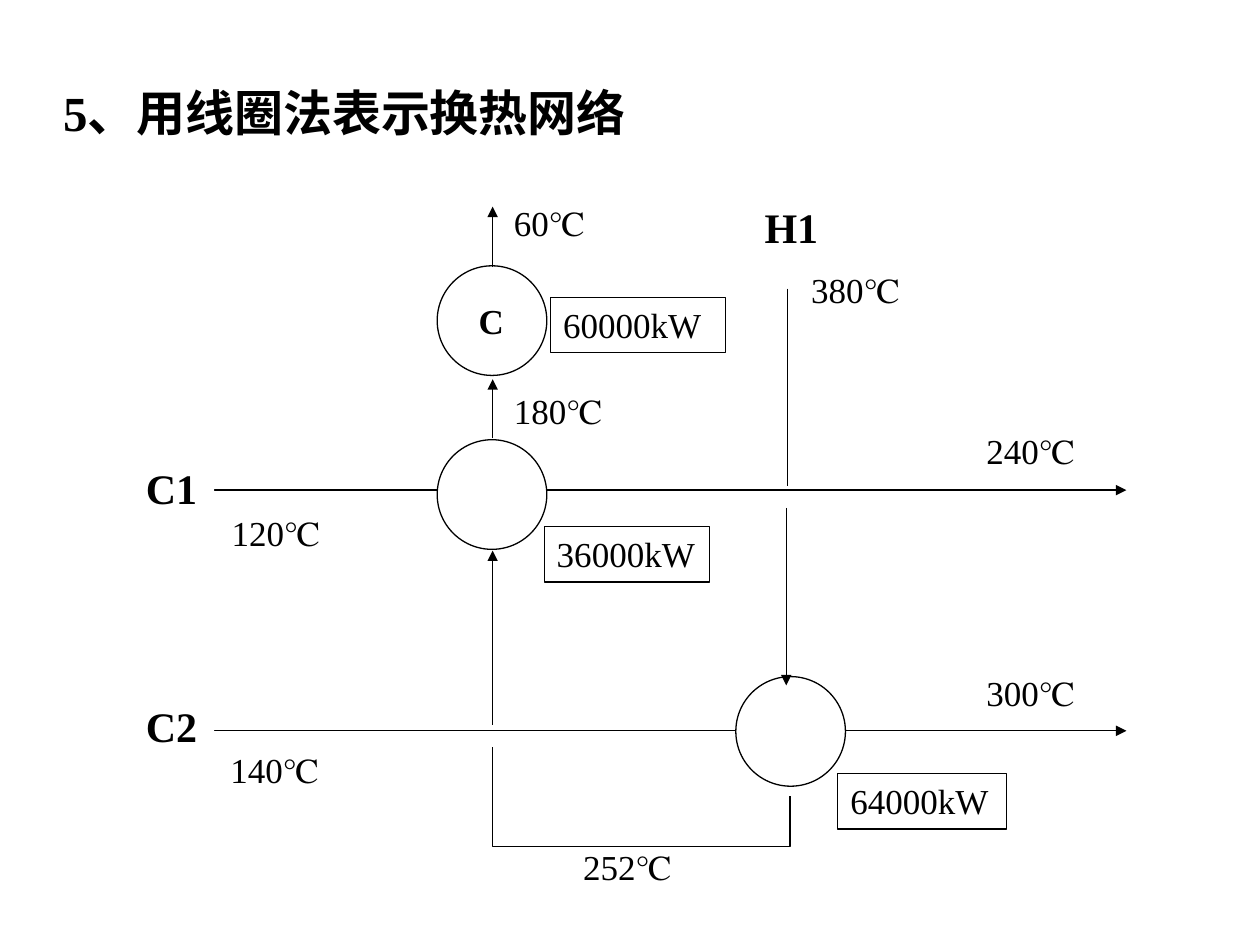
from dataclasses import dataclass

from lxml import etree
from pptx import Presentation
from pptx.dml.color import RGBColor
from pptx.enum.shapes import MSO_CONNECTOR, MSO_SHAPE
from pptx.enum.text import MSO_ANCHOR, MSO_AUTO_SIZE, PP_ALIGN
from pptx.oxml.ns import qn
from pptx.util import Inches, Pt

RECT, OVAL = MSO_SHAPE.RECTANGLE, MSO_SHAPE.OVAL
STRAIGHT = MSO_CONNECTOR.STRAIGHT
LEFT, JUSTIFY = PP_ALIGN.LEFT, PP_ALIGN.JUSTIFY
TOP, MIDDLE = MSO_ANCHOR.TOP, MSO_ANCHOR.MIDDLE
FIT_SHAPE = MSO_AUTO_SIZE.SHAPE_TO_FIT_TEXT

COLORS = {"ink": "000000", "paper": "FFFFFF"}
FONT = "Times New Roman"
LINE_WIDTH = Pt(0.75)
CIRCLE = 8.7
TEMP_SIZE = (9.6, 5.9)
NAME_SIZE = (6.4, 4.4)
DUTY_HEIGHT = 4.4

TEMPERATURES = [
    ("60℃", 29.8, 0), ("180℃", 29.8, 14.9), ("252℃", 35.3, 51.1),
    ("300℃", 67.3, 37.3), ("240℃", 67.3, 18.1), ("380℃", 53.4, 5.3),
    ("120℃", 7.4, 24.6), ("140℃", 7.3, 43.4),
]
STREAM_NAMES = [("H1", 49.7, 0), ("C1", 0.6, 20.7), ("C2", 0.6, 39.6)]
STREAM_ROWS = [23.4, 42.5]
EXCHANGERS = [(24.7, 19.4), (24.7, 5.6), (48.4, 38.2)]
DUTIES = [("60000kW", 33.7, 8.1, 13.9), ("64000kW", 56.5, 45.9, 13.4),
          ("36000kW", 33.2, 26.3, 13.1)]
HOT_COL = 29.1
HOT_ARROWS = [(42, 28.2), (19.3, 14.6), (5.7, 0.9)]


@dataclass
class Grid:
    """A box divided into equal columns and rows."""
    left: int
    top: int
    width: int
    height: int
    cols: int
    rows: int

    def size(self, w, h):
        """Return a width in columns and a height in rows as lengths."""
        return int(self.width * w / self.cols), int(self.height * h / self.rows)

    def point(self, x, y):
        """Return the slide position of a grid point."""
        dx, dy = self.size(x, y)
        return self.left + dx, self.top + dy


def rgb(name):
    """Look up a named colour."""
    return RGBColor.from_string(COLORS[name])


def write(tf, text, size, bold=False, align=JUSTIFY, anchor=TOP):
    """Fill a text frame with one formatted paragraph."""
    tf.word_wrap = True
    tf.vertical_anchor = anchor
    p = tf.paragraphs[0]
    p.text = text
    p.alignment = align
    p.font.name, p.font.size, p.font.bold = FONT, Pt(size), bold
    p.font.color.rgb = rgb("ink")


def ink_line(line):
    """Give an outline the diagram's thin stroke."""
    line.color.rgb = rgb("ink")
    line.width = LINE_WIDTH


def add_box(slide, grid, kind, x, y, w, h, outlined=False):
    """Add a white shape, outlined on request."""
    sp = slide.shapes.add_shape(kind, *grid.point(x, y), *grid.size(w, h))
    sp.shadow.inherit = False
    sp.fill.solid()
    sp.fill.fore_color.rgb = rgb("paper")
    if outlined:
        ink_line(sp.line)
    else:
        sp.line.fill.background()
    return sp


def add_line(slide, grid, start, end, arrow=True):
    """Add a straight line between two grid points."""
    cx = slide.shapes.add_connector(STRAIGHT, *grid.point(*start), *grid.point(*end))
    ink_line(cx.line)
    if arrow:
        etree.SubElement(cx.line._get_or_add_ln(), qn("a:tailEnd"), type="triangle")
    etree.SubElement(cx._element.spPr, qn("a:effectLst"))


def add_title(slide, grid):
    """Place the slide title in its placeholder."""
    sp = slide.shapes.title
    sp.left, sp.top = grid.point(4, 6)
    sp.width, sp.height = grid.size(47.6, 5.7)
    write(sp.text_frame, "5、用线圈法表示换热网络", 28, True, LEFT, MIDDLE)
    sp.text_frame.word_wrap = False
    sp.text_frame.auto_size = FIT_SHAPE


def add_cold_streams(slide, grid):
    """Draw the two cold streams and the exchangers on the network."""
    for row in STREAM_ROWS:
        add_line(slide, grid, (6.3, row), (79.4, row))
    for x, y in EXCHANGERS:
        add_box(slide, grid, OVAL, x, y, CIRCLE, CIRCLE, True)


def add_labels(slide, grid):
    """Write the stream names, the cooler mark and the heat duties."""
    for text, x, y in STREAM_NAMES:
        write(add_box(slide, grid, RECT, x, y, *NAME_SIZE).text_frame, text, 24, True)
    tb = slide.shapes.add_textbox(*grid.point(27, 7.8), *grid.size(5.3, 4.6))
    write(tb.text_frame, "C", 20, True)
    for text, x, y, w in DUTIES:
        sp = add_box(slide, grid, RECT, x, y, w, DUTY_HEIGHT, True)
        write(sp.text_frame, text, 20)


def add_hot_stream(slide, grid):
    """Draw the hot stream, broken where it crosses the cold ones."""
    add_line(slide, grid, (52.5, 7.4), (52.5, 23.1), arrow=False)
    add_line(slide, grid, (52.4, 24.8), (52.4, 38.9))
    corners = [(52.7, 47.7), (52.7, 51.7), (HOT_COL, 51.7), (HOT_COL, 43.8)]
    start, *rest = [grid.point(*c) for c in corners]
    builder = slide.shapes.build_freeform(*start)
    builder.add_line_segments(rest, close=False)
    sp = builder.convert_to_shape()
    sp.shadow.inherit = False
    sp.fill.background()
    ink_line(sp.line)
    for tail, head in HOT_ARROWS:
        add_line(slide, grid, (HOT_COL, tail), (HOT_COL, head))


def add_network(slide, grid):
    """Build the heat exchanger network inside the grid."""
    for text, x, y in TEMPERATURES:
        write(add_box(slide, grid, RECT, x, y, *TEMP_SIZE).text_frame, text, 20)
    add_cold_streams(slide, grid)
    add_labels(slide, grid)
    add_hot_stream(slide, grid)


def main():
    """Create and save the slide."""
    prs = Presentation()
    prs.slide_width, prs.slide_height = Inches(10), Inches(7.5)
    slide = prs.slides.add_slide(prs.slide_layouts[5])
    add_title(slide, Grid(0, 0, prs.slide_width, prs.slide_height, 100, 75))
    add_network(slide, Grid(Inches(1), Inches(1.55), Inches(8), Inches(5.7), 80, 57))
    prs.save("out.pptx")


if __name__ == "__main__":
    main()
